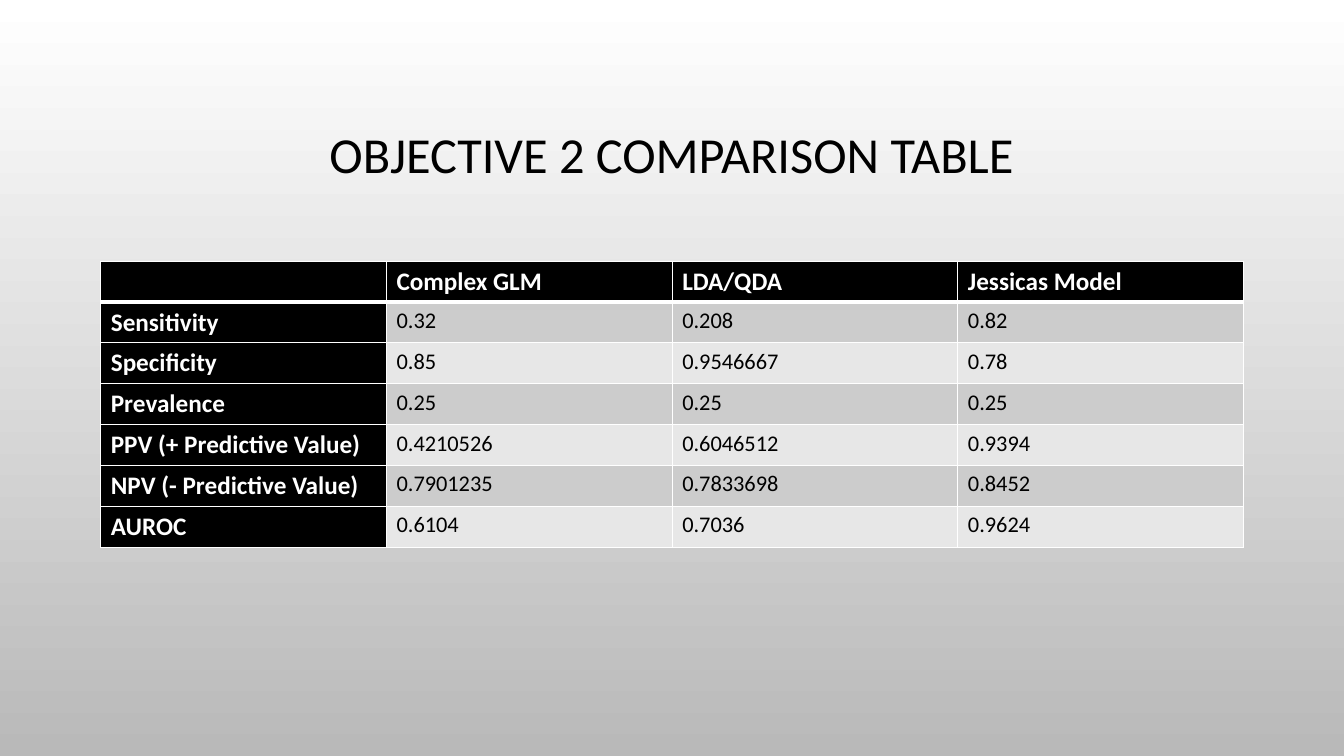
"""Build the slide that compares the metrics of the Objective 2 models."""
from dataclasses import dataclass

from lxml import etree
from pptx import Presentation
from pptx.dml.color import RGBColor
from pptx.enum.text import MSO_ANCHOR, PP_ALIGN
from pptx.oxml.ns import qn
from pptx.slide import Slide
from pptx.table import _Cell
from pptx.text.text import _Paragraph
from pptx.util import Cm, Pt

MIDDLE = MSO_ANCHOR.MIDDLE
CENTER = PP_ALIGN.CENTER


@dataclass(frozen=True)
class Theme:
    font: str = "Calibri"
    black: str = "000000"
    white: str = "FFFFFF"
    band_dark: str = "CCCCCC"
    band_light: str = "E7E7E7"
    backdrop_end: str = "B9B9B9"
    title_size: int = 36
    heading_size: int = 18
    value_size: int = 16
    thin_border: int = 1
    header_rule: int = 3


@dataclass(frozen=True)
class Metric:
    label: str
    values: tuple[str, str, str]


THEME = Theme()
TITLE = "OBJECTIVE 2 COMPARISON TABLE"
MODELS = ("Complex GLM", "LDA/QDA", "Jessicas Model")
METRICS = (
    Metric("Sensitivity", ("0.32", "0.208", "0.82")),
    Metric("Specificity", ("0.85", "0.9546667", "0.78")),
    Metric("Prevalence", ("0.25", "0.25", "0.25")),
    Metric("PPV (+ Predictive Value)", ("0.4210526", "0.6046512", "0.9394")),
    Metric("NPV (- Predictive Value)", ("0.7901235", "0.7833698", "0.8452")),
    Metric("AUROC", ("0.6104", "0.7036", "0.9624")),
)
LEFT = Cm(2.54)
TITLE_TOP, TITLE_WIDTH, TITLE_HEIGHT = Cm(1.73), Cm(28.78), Cm(4.45)
TABLE_TOP, COLUMN_WIDTH, ROW_HEIGHT = Cm(6.58), Cm(7.2), Cm(1.03)


def write(paragraph: _Paragraph, text: str, size: int, color: str, bold: bool) -> None:
    paragraph.text = text
    font_format = {"name": THEME.font, "size": Pt(size), "bold": bold}
    for attribute, value in font_format.items():
        setattr(paragraph.font, attribute, value)
    paragraph.font.color.rgb = RGBColor.from_string(color)
    for run in paragraph.runs:
        for attribute, value in font_format.items():
            setattr(run.font, attribute, value)
        run.font.color.rgb = RGBColor.from_string(color)


def draw_background(slide: Slide) -> None:
    fill = slide.background.fill
    fill.gradient()
    fill.gradient_angle = 270
    for stop, color in zip(fill.gradient_stops, (THEME.white, THEME.backdrop_end)):
        stop.color.rgb = RGBColor.from_string(color)


def draw_title(slide: Slide) -> None:
    title = slide.shapes.title
    placement = {"left": LEFT, "top": TITLE_TOP, "width": TITLE_WIDTH, "height": TITLE_HEIGHT}
    for attribute, value in placement.items():
        setattr(title, attribute, value)
    title.text_frame.vertical_anchor = MIDDLE
    heading = title.text_frame.paragraphs[0]
    write(heading, TITLE, THEME.title_size, THEME.black, False)
    heading.alignment = CENTER
    heading.line_spacing = 0.9


def draw_borders(cell: _Cell, row: int) -> None:
    properties = cell._tc.get_or_add_tcPr()
    widths = {
        "a:lnL": THEME.thin_border,
        "a:lnR": THEME.thin_border,
        "a:lnT": THEME.header_rule if row == 1 else THEME.thin_border,
        "a:lnB": THEME.header_rule if row == 0 else THEME.thin_border,
    }
    for tag, width in widths.items():
        border = etree.SubElement(properties, qn(tag), w=str(Pt(width)))
        fill = etree.SubElement(border, qn("a:solidFill"))
        etree.SubElement(fill, qn("a:srgbClr"), val=THEME.white)


def draw_cell(cell: _Cell, text: str, row: int, column: int) -> None:
    draw_borders(cell, row)
    is_heading = row == 0 or column == 0
    band = THEME.band_dark if row % 2 else THEME.band_light
    cell.fill.solid()
    cell.fill.fore_color.rgb = RGBColor.from_string(THEME.black if is_heading else band)
    size = THEME.heading_size if is_heading else THEME.value_size
    color = THEME.white if is_heading else THEME.black
    write(cell.text_frame.paragraphs[0], text, size, color, is_heading)


def draw_comparison(slide: Slide) -> None:
    rows = [("", *MODELS), *((metric.label, *metric.values) for metric in METRICS)]
    row_count, column_count = len(rows), len(rows[0])
    comparison = slide.shapes.add_table(
        row_count, column_count, LEFT, TABLE_TOP,
        COLUMN_WIDTH * column_count, ROW_HEIGHT * row_count,
    ).table
    comparison.first_col = True
    for table_column in comparison.columns:
        table_column.width = COLUMN_WIDTH
    for row, texts in enumerate(rows):
        comparison.rows[row].height = ROW_HEIGHT
        for column, text in enumerate(texts):
            draw_cell(comparison.cell(row, column), text, row, column)


def main() -> None:
    presentation = Presentation()
    presentation.slide_width, presentation.slide_height = Cm(33.87), Cm(19.05)
    slide = presentation.slides.add_slide(presentation.slide_layouts[5])
    draw_background(slide)
    draw_title(slide)
    draw_comparison(slide)
    presentation.save("out.pptx")


if __name__ == "__main__":
    main()
